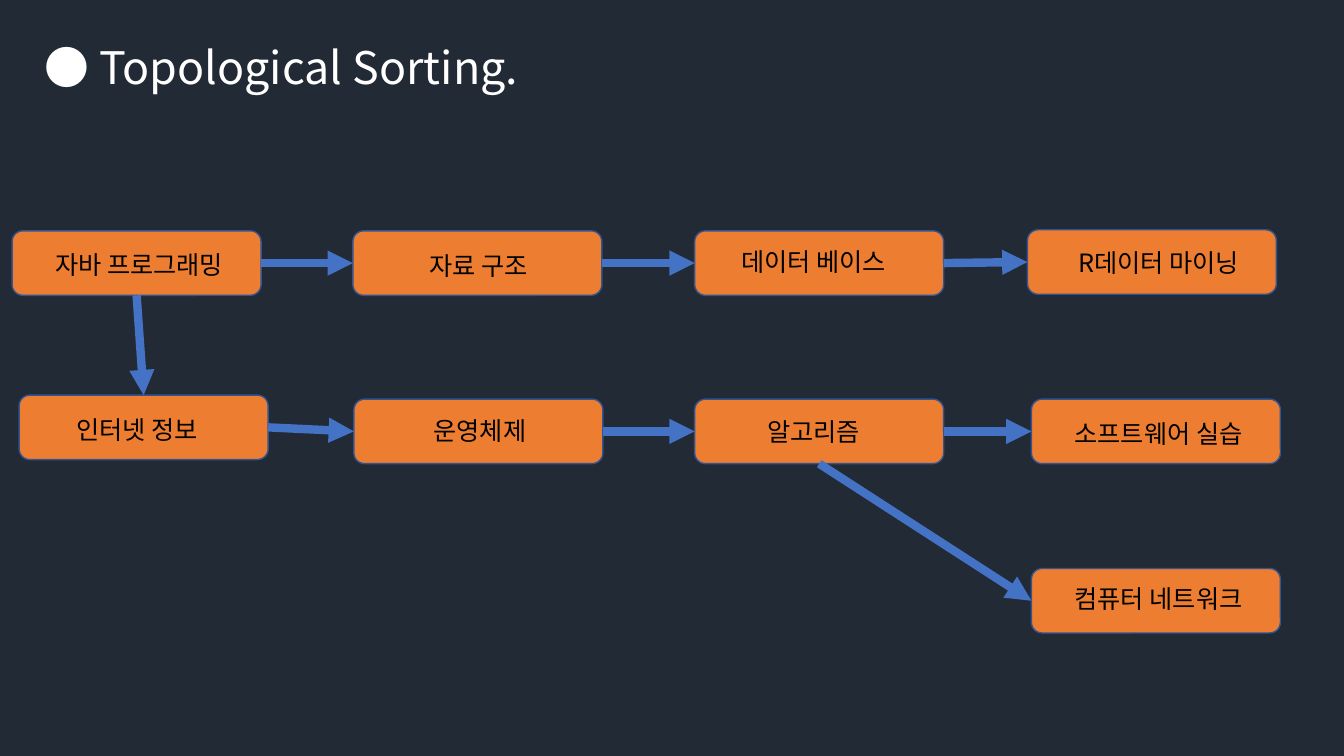
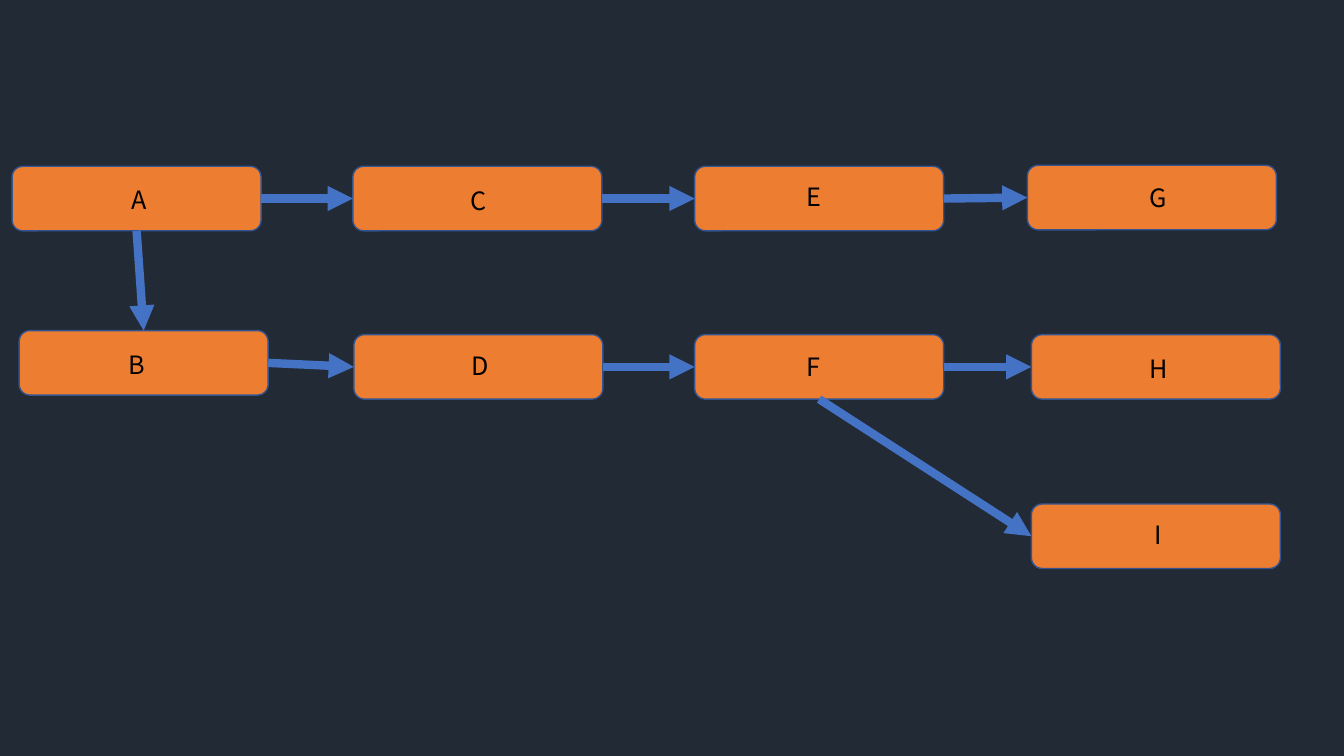
"""Builds two slides showing a topological sort of courses."""
from lxml import etree
from pptx import Presentation
from pptx.dml.color import RGBColor
from pptx.enum.shapes import MSO_CONNECTOR, MSO_SHAPE
from pptx.enum.text import MSO_AUTO_SIZE, PP_ALIGN
from pptx.oxml.ns import qn
from pptx.util import Inches, Pt

STRAIGHT = MSO_CONNECTOR.STRAIGHT
ROUNDED = MSO_SHAPE.ROUNDED_RECTANGLE
GROW = MSO_AUTO_SIZE.SHAPE_TO_FIT_TEXT
LEFT, CENTER = PP_ALIGN.LEFT, PP_ALIGN.CENTER
TOP_SIDE, LEFT_SIDE, BOTTOM_SIDE, RIGHT_SIDE = range(4)

FONT = "Noto Sans CJK KR"
COLORS = {
    "background": "222A35",
    "title": "FFFFFF",
    "label": "000000",
    "box": "ED7D31",
    "outline": "325491",
    "arrow": "4472C4",
}
TEXT_STYLES = {
    "title": {"size": Pt(32), "name": FONT},
    "label": {"size": Pt(18), "name": FONT},
}
BOX_SIZE = (2.47, 0.64)
LABEL_SIZE = (2.14, 0.4)

NODES = {
    "A": ((0.12, 2.29), (0.31, 2.42), "자바 프로그래밍"),
    "B": ((0.19, 3.92), (0.29, 4.06), "인터넷 정보"),
    "C": ((3.5, 2.29), (3.68, 2.43), "자료 구조"),
    "D": ((3.51, 3.96), (3.69, 4.07), "운영체제"),
    "E": ((6.89, 2.29), (7, 2.39), "데이터 베이스"),
    "F": ((6.89, 3.96), (7, 4.08), "알고리즘"),
    "G": ((10.19, 2.28), (10.42, 2.4), "R데이터 마이닝"),
    "H": ((10.23, 3.96), (10.42, 4.1), "소프트웨어 실습"),
    "I": ((10.23, 5.64), (10.42, 5.74), "컴퓨터 네트워크"),
}
EDGES = [
    ("A", BOTTOM_SIDE, "B", TOP_SIDE),
    ("B", RIGHT_SIDE, "D", LEFT_SIDE),
    ("A", RIGHT_SIDE, "C", LEFT_SIDE),
    ("C", RIGHT_SIDE, "E", LEFT_SIDE),
    ("D", RIGHT_SIDE, "F", LEFT_SIDE),
    ("E", RIGHT_SIDE, "G", LEFT_SIDE),
    ("F", RIGHT_SIDE, "H", LEFT_SIDE),
    ("F", BOTTOM_SIDE, "I", LEFT_SIDE),
]


def rgb(name):
    return RGBColor.from_string(COLORS[name])


class Deck:
    def __init__(self):
        self.prs = Presentation()
        self.prs.slide_width = Inches(13.33)
        self.prs.slide_height = Inches(7.5)
        self.shapes = None

    def slide(self):
        s = self.prs.slides.add_slide(self.prs.slide_layouts[6])
        s.background.fill.solid()
        s.background.fill.fore_color.rgb = rgb("background")
        self.shapes = s.shapes

    def text(self, text, style, x, y, w, h, align):
        tf = self.shapes.add_textbox(*map(Inches, (x, y, w, h))).text_frame
        tf.word_wrap = True
        tf.auto_size = GROW
        p = tf.paragraphs[0]
        p.alignment = align
        r = p.add_run()
        r.text = text
        for key, value in TEXT_STYLES[style].items():
            setattr(r.font, key, value)
        r.font.color.rgb = rgb(style)
        ea = etree.SubElement(r.font._element, qn("a:ea"))
        ea.set("typeface", FONT)

    def title(self, text):
        self.text(text, "title", 0.34, 0.34, 5.19, 0.64, LEFT)

    def box(self, x, y):
        sp = self.shapes.add_shape(ROUNDED, *map(Inches, (x, y, *BOX_SIZE)))
        sp.shadow.inherit = False
        sp.fill.solid()
        sp.fill.fore_color.rgb = rgb("box")
        sp.line.color.rgb = rgb("outline")
        sp.line.width = Pt(1)
        return sp

    def arrow(self, start, start_side, end, end_side):
        cxn = self.shapes.add_connector(
            STRAIGHT, start.left, start.top, end.left, end.top)
        cxn.begin_connect(start, start_side)
        cxn.end_connect(end, end_side)
        cxn.line.color.rgb = rgb("arrow")
        cxn.line.width = Pt(6)
        etree.SubElement(cxn.line._get_or_add_ln(), qn("a:tailEnd"), type="triangle")
        etree.SubElement(cxn._element.spPr, qn("a:effectLst"))

    def graph(self, labels, shift=0):
        boxes = {key: self.box(x, y + shift) for key, ((x, y), _, _) in NODES.items()}
        for key, (_, (x, y), _) in NODES.items():
            self.text(labels[key], "label", x, y + shift, *LABEL_SIZE, CENTER)
        for start, start_side, end, end_side in EDGES:
            self.arrow(boxes[start], start_side, boxes[end], end_side)


def main():
    deck = Deck()
    deck.slide()
    deck.title("● Topological Sorting.")
    deck.graph({key: course for key, (_, _, course) in NODES.items()})

    deck.slide()
    deck.shapes = deck.shapes.add_group_shape().shapes
    deck.graph({key: key for key in NODES}, shift=-0.64)
    deck.prs.save("out.pptx")


if __name__ == "__main__":
    main()
